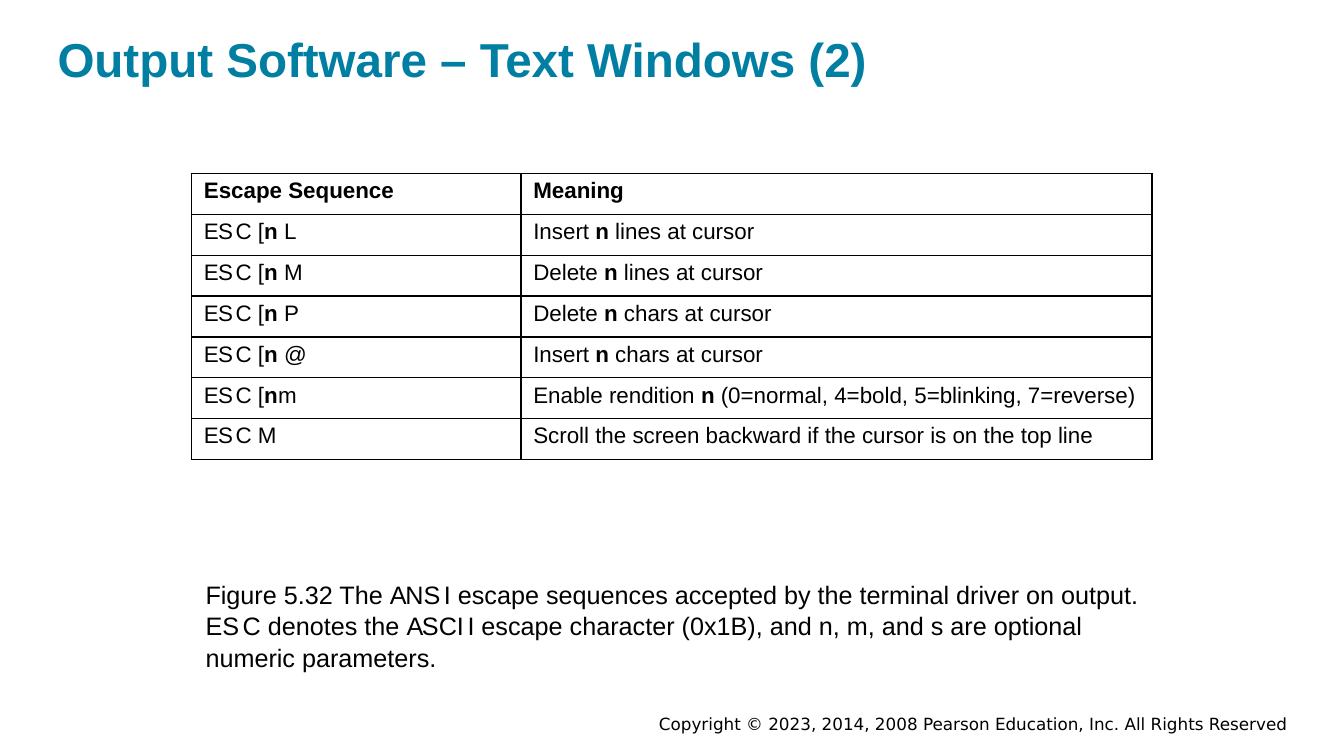
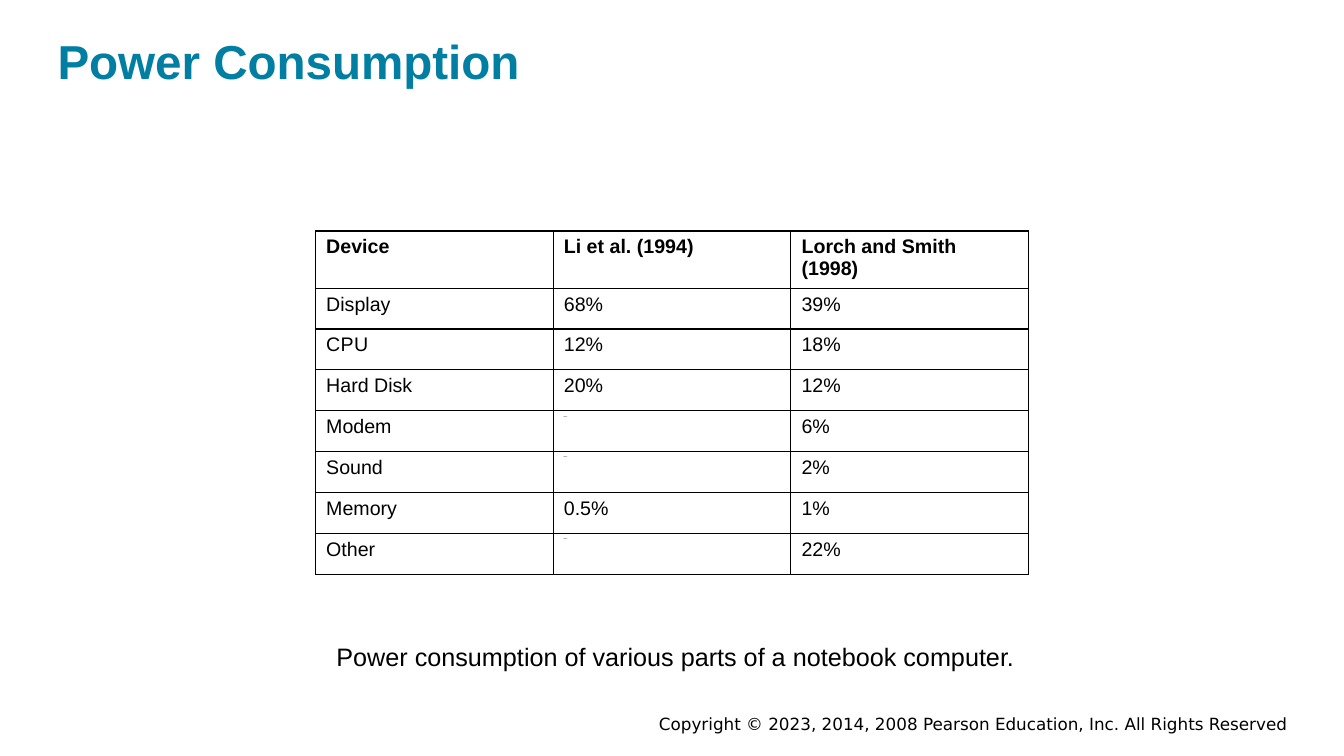
from dataclasses import dataclass

from lxml.etree import SubElement
from pptx import Presentation
from pptx.dml.color import RGBColor
from pptx.enum.text import MSO_ANCHOR, MSO_AUTO_SIZE, PP_ALIGN
from pptx.oxml.ns import qn
from pptx.util import Cm, Pt


@dataclass(frozen=True)
class Theme:
    """Colours, fonts, type sizes and spacing shared by all slides."""

    accent: RGBColor = RGBColor(0x00, 0x7F, 0xA3)
    ink: RGBColor = RGBColor(0, 0, 0)
    font: str = "Arial"
    footer_font: str = "DejaVu Sans"
    title_size: int = 34
    caption_size: int = 18
    footer_size: int = 12
    tiny_size: int = 1
    tight_spacing: str = "-250"
    caption_leading: float = 1.04
    border: int = Pt(1)
    row_height: int = Cm(1.03)


THEME = Theme()
COPYRIGHT = "Copyright © 2023, 2014, 2008 Pearson Education, Inc. All Rights Reserved"

ESCAPE_ROWS = [
    ("*Escape Sequence", "*Meaning"),
    ("~E S |C [|*n| L", "Insert |*n| lines at cursor"),
    ("~E S |C [|*n| M", "Delete |*n| lines at cursor"),
    ("~E S |C [|*n| P", "Delete |*n| chars at cursor"),
    ("~E S |C [|*n| @", "Insert |*n| chars at cursor"),
    ("~E S |C [|*n|^ |m",
     "Enable rendition |*n| (0=normal, 4=bold, 5=blinking, 7=reverse)"),
    ("~E S |C M", "Scroll the screen backward if the cursor is on the top line"),
]
ESCAPE_CAPTION = (
    "Figure 5.32 The |~A N S |I escape sequences accepted by the terminal driver on output. "
    "|~E S |C denotes the |~A S C I |I escape character (0x1B), and n, m, and s are "
    "optional numeric parameters."
)

POWER_ROWS = [
    ("*Device", "*Li et al. (1994)", "*Lorch and Smith (1998)"),
    ("Display", "68%", "39%"),
    ("C|^ |P|^ |U", "12%", "18%"),
    ("Hard Disk", "20%", "12%"),
    ("Modem", "^Blank", "6%"),
    ("Sound", "^Blank", "2%"),
    ("Memory", "0.5%", "1%"),
    ("Other", "^Blank", "22%"),
]
POWER_CAPTION = "Power consumption of various parts of a notebook computer."


def write(paragraph, markup, size, color=THEME.ink, font=THEME.font):
    """Write runs split at |, marked * for bold, ~ for tight and ^ for tiny."""
    for piece in markup.split("|"):
        mark = piece[0] if piece[0] in "*~^" else ""
        run = paragraph.add_run()
        run.text = piece[len(mark):]
        run.font.name = font
        run.font.size = Pt(THEME.tiny_size if mark == "^" else size)
        run.font.bold = mark == "*"
        run.font.color.rgb = color
        if mark == "~":
            run._r.get_or_add_rPr().set("spc", THEME.tight_spacing)


def prepare_frame(shape):
    """Give a text shape the shared margins, anchor and wrapping; return its paragraph."""
    frame = shape.text_frame
    frame.word_wrap = True
    frame.auto_size = MSO_AUTO_SIZE.SHAPE_TO_FIT_TEXT
    frame.vertical_anchor = MSO_ANCHOR.MIDDLE
    frame.margin_left = frame.margin_right = 0
    frame.margin_top = frame.margin_bottom = Cm(0.05)
    return frame.paragraphs[0]


def add_footer(slide):
    """Add the copyright line at the lower right."""
    footer = slide.shapes.add_textbox(Cm(14.15), Cm(17.93), Cm(18.31), Cm(0.61))
    line = prepare_frame(footer)
    line.alignment = PP_ALIGN.RIGHT
    write(line, COPYRIGHT, THEME.footer_size, font=THEME.footer_font)


def add_titled_slide(deck, heading, top):
    """Add a title-only slide with its heading and footer."""
    slide = deck.slides.add_slide(deck.slide_layouts[5])
    title = slide.shapes.title
    title.left, title.top, title.width, title.height = Cm(1.45), top, Cm(30.99), Cm(1.55)
    line = prepare_frame(title)
    line.alignment = PP_ALIGN.LEFT
    write(line, "*" + heading, THEME.title_size, THEME.accent)
    add_footer(slide)
    return slide


def add_caption(slide, markup, left, top, width, height):
    """Add the explanatory text below a table."""
    line = prepare_frame(slide.shapes.add_textbox(left, top, width, height))
    line.line_spacing = THEME.caption_leading
    write(line, markup, THEME.caption_size)


def draw_borders(cell):
    """Draw a thin line on all four sides of a cell."""
    properties = cell._tc.get_or_add_tcPr()
    for position, side in enumerate(("lnL", "lnR", "lnT", "lnB")):
        line = SubElement(properties, qn(f"a:{side}"), w=str(THEME.border))
        fill = SubElement(line, qn("a:solidFill"))
        SubElement(fill, qn("a:srgbClr"), val=str(THEME.ink))
        properties.insert(position, line)


def add_grid(slide, rows, left, top, column_widths, size, side_margin):
    """Add a plain ruled table."""
    table = slide.shapes.add_table(
        len(rows), len(column_widths), left, top,
        sum(column_widths), THEME.row_height * len(rows),
    ).table
    table.first_row = table.horz_banding = False
    for column, width in zip(table.columns, column_widths):
        column.width = width
    for row, entries in zip(table.rows, rows):
        row.height = THEME.row_height
        for cell, entry in zip(row.cells, entries):
            cell.margin_left = cell.margin_right = side_margin
            cell.fill.background()
            draw_borders(cell)
            write(cell.text_frame.paragraphs[0], entry, size)


def main():
    """Build and save the deck."""
    deck = Presentation()
    deck.slide_width, deck.slide_height = Cm(33.87), Cm(19.05)

    windows = add_titled_slide(deck, "Output Software – Text Windows (2)", Cm(0.69))
    add_grid(windows, ESCAPE_ROWS, Cm(4.83), Cm(4.37), [Cm(8.3), Cm(15.9)], 16, Cm(0.31))
    add_caption(windows, ESCAPE_CAPTION, Cm(5.18), Cm(14.55), Cm(23.55), Cm(2.41))

    power = add_titled_slide(deck, "Power Consumption", Cm(0.74))
    add_grid(power, POWER_ROWS, Cm(7.95), Cm(5.82), [Cm(5.99)] * 3, 14, Cm(0.27))
    add_caption(power, POWER_CAPTION, Cm(8.48), Cm(16.1), Cm(17.27), Cm(0.86))

    deck.save("out.pptx")


if __name__ == "__main__":
    main()
